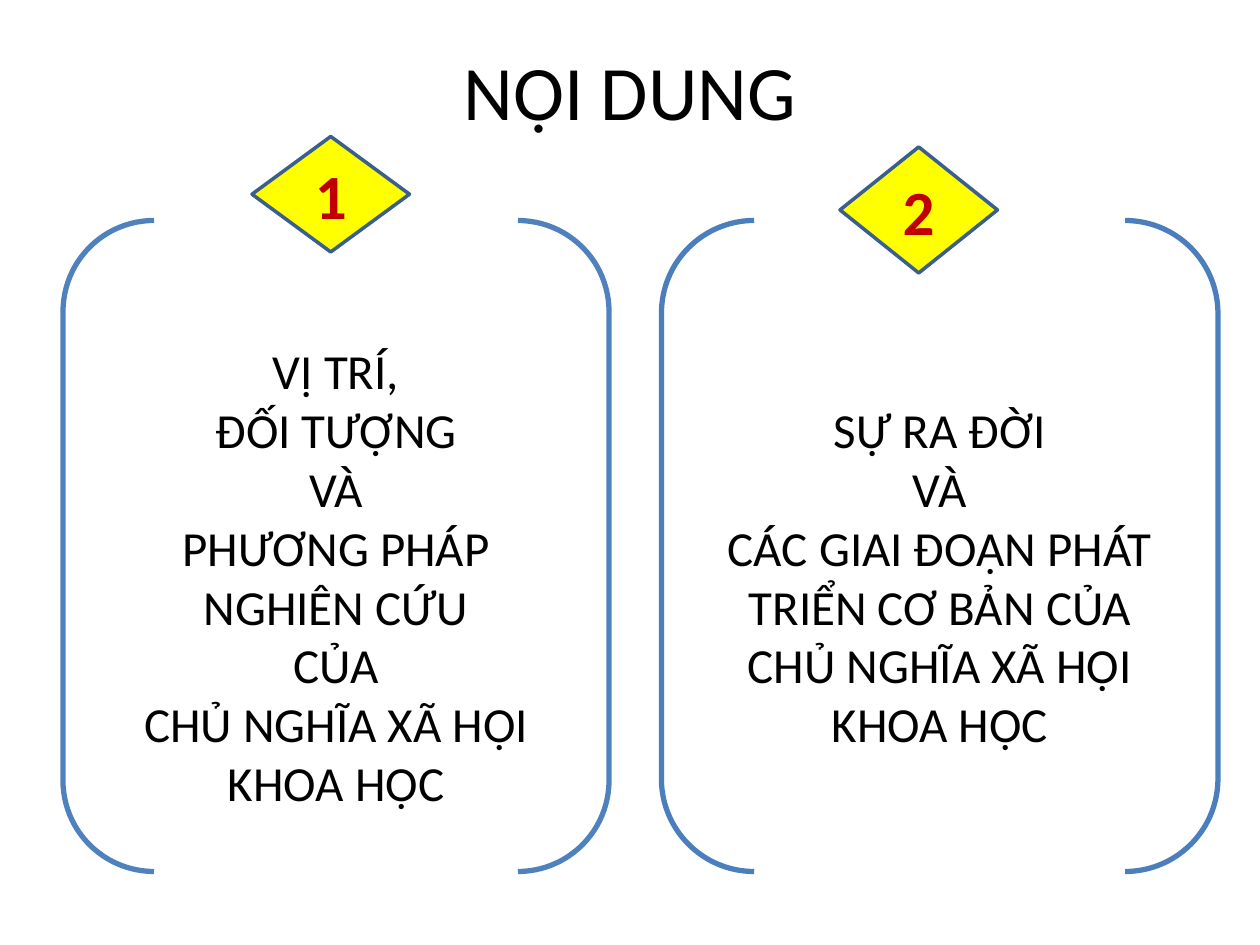
"""Build the two-part contents slide."""
from dataclasses import dataclass

from pptx import Presentation
from pptx.dml.color import RGBColor
from pptx.enum.shapes import MSO_SHAPE
from pptx.enum.text import MSO_ANCHOR, PP_ALIGN
from pptx.util import Pt

TITLE = "NỘI DUNG"
PARTS = [
    {
        "lines": ["VỊ TRÍ,", "ĐỐI TƯỢNG", "VÀ", "PHƯƠNG PHÁP NGHIÊN CỨU", "CỦA",
                  "CHỦ NGHĨA XÃ HỘI", "KHOA HỌC"],
        "bracket": (36, 126, 312, 372), "line": "4F81BD",
        "number": "1", "diamond": (144, 78, 90, 66),
    },
    {
        "lines": ["SỰ RA ĐỜI", "VÀ", "CÁC GIAI ĐOẠN PHÁT TRIỂN CƠ BẢN CỦA",
                  "CHỦ NGHĨA XÃ HỘI", "KHOA HỌC"],
        "bracket": (378, 126, 318, 372), "line": "4B7EBC",
        "number": "2", "diamond": (480, 84, 90, 72),
    },
]


@dataclass(frozen=True)
class Theme:
    font: str = "Calibri"
    title_size: int = 44
    body_size: int = 28
    number_size: int = 36
    text: str = "000000"
    number: str = "C00000"
    diamond: str = "FFFF00"
    diamond_line: str = "3A5F8C"


THEME = Theme()


def write(sp, lines, size, color, bold=False):
    tf = sp.text_frame
    tf.word_wrap = True
    tf.vertical_anchor = MSO_ANCHOR.MIDDLE
    for i, line in enumerate(lines):
        p = tf.add_paragraph() if i else tf.paragraphs[0]
        p.alignment = PP_ALIGN.CENTER
        r = p.add_run()
        r.text = line
        r.font.name = THEME.font
        r.font.size = Pt(size)
        r.font.bold = bold
        r.font.color.rgb = RGBColor.from_string(color)


def add_outline(s, kind, box, line, width):
    sp = s.shapes.add_shape(kind, *map(Pt, box))
    sp.shadow.inherit = False
    sp.line.color.rgb = RGBColor.from_string(line)
    sp.line.width = Pt(width)
    return sp


def add_bracket(s, part):
    sp = add_outline(s, MSO_SHAPE.DOUBLE_BRACKET, part["bracket"], part["line"], 3)
    sp.fill.background()
    sp.text_frame.margin_top = Pt(38)
    write(sp, part["lines"], THEME.body_size, THEME.text)


def add_diamond(s, part):
    sp = add_outline(s, MSO_SHAPE.FLOWCHART_DECISION, part["diamond"],
                     THEME.diamond_line, 2)
    sp.fill.solid()
    sp.fill.fore_color.rgb = RGBColor.from_string(THEME.diamond)
    write(sp, [part["number"]], THEME.number_size, THEME.number, bold=True)


def main():
    prs = Presentation()
    prs.slide_width, prs.slide_height = Pt(720), Pt(540)
    s = prs.slides.add_slide(prs.slide_layouts[5])
    title = s.shapes.title
    title.left, title.top, title.width, title.height = map(Pt, (36, 6, 648, 90))
    write(title, [TITLE], THEME.title_size, THEME.text)
    for add in (add_bracket, add_diamond):
        for part in PARTS:
            add(s, part)
    prs.save("out.pptx")


if __name__ == "__main__":
    main()
